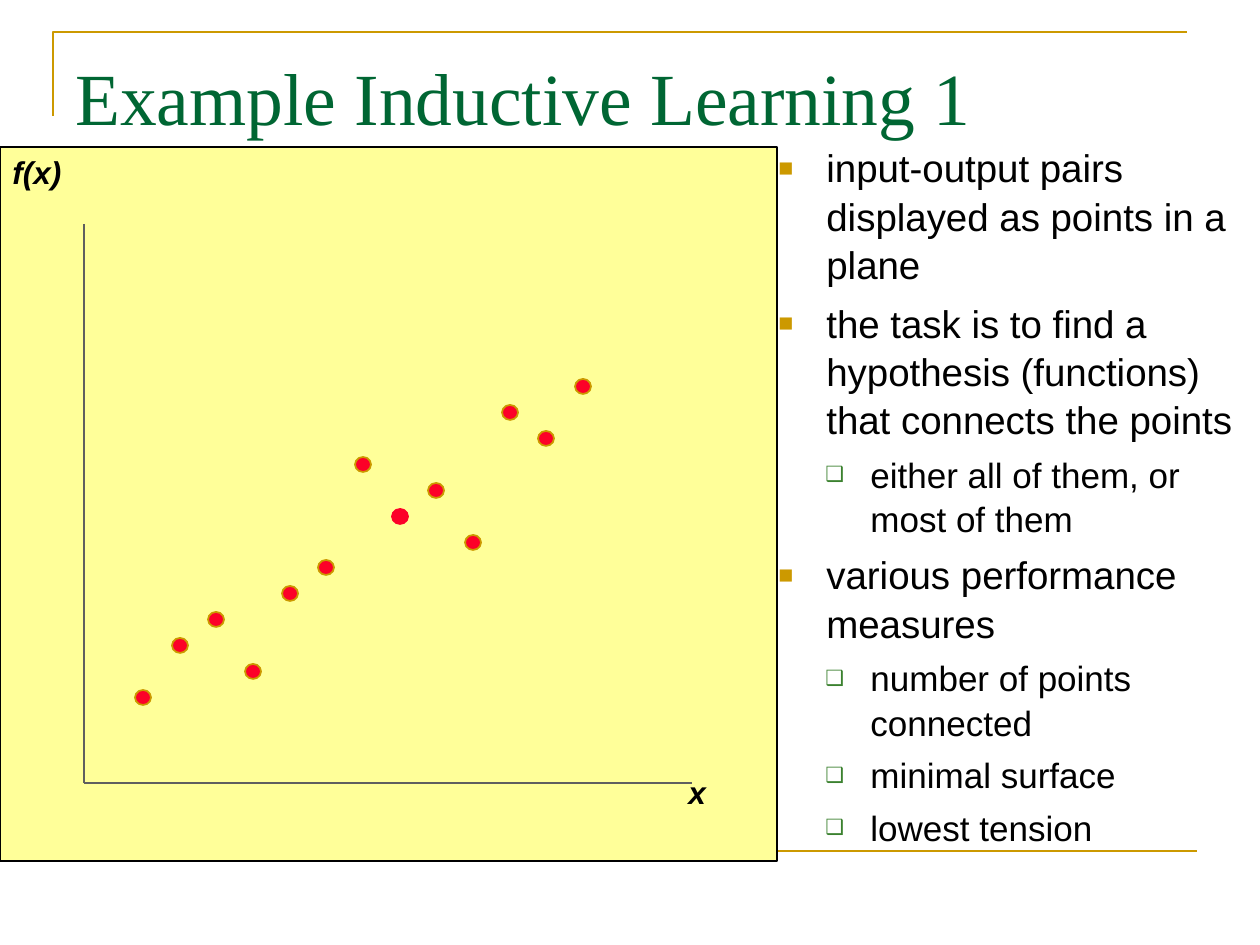
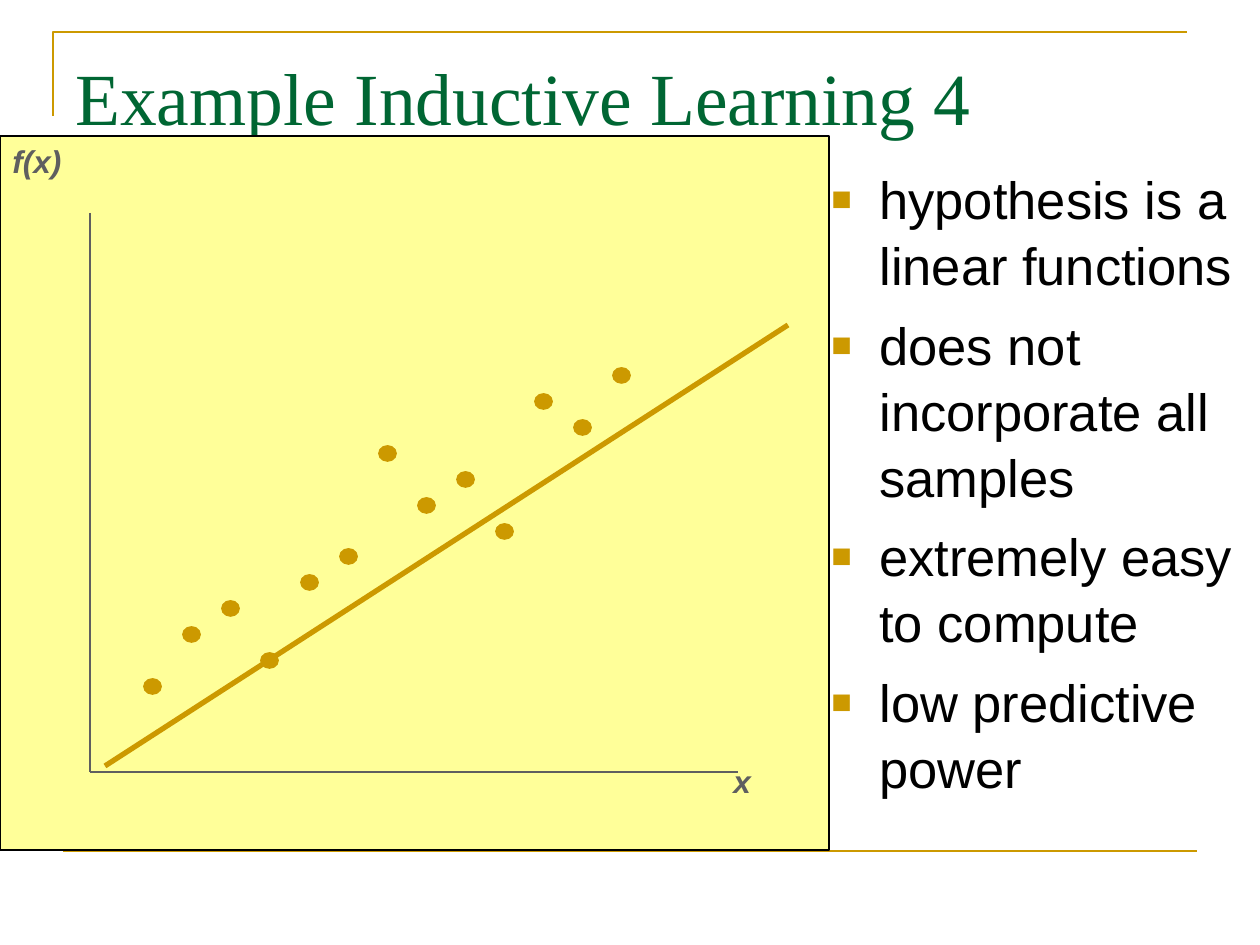
import pptx
import pptx.dml.color
import pptx.enum.shapes
import pptx.enum.text
import pptx.util
from lxml import etree

PX = 914400 / 126  # EMU in one px
COLORS = {
    "gold": "CC9900", "title": "006633", "paper": "FFFF99", "black": "000000",
    "grey": "5F5F5F", "red": "FC0128", "green": "3B812F",
}
# Per level: bullet, bullet colour, bullet size in percent, left margin and hanging indent in px
LEVELS = [("■", "gold", 65, 48, 48), ("❑", "green", 60, 92, 45)]

# Plot geometry, drawn up for a frame of this width and stretched to others
FRAME_WIDTH, FRAME_HEIGHT = 777, 714
SAMPLE_ROWS = [0, 2, 3, 1, 4, 5, 9, 7, 8, 6, 11, 10, 12]


def emu(length):
    return pptx.util.Emu(round(length * PX))


def rgb(name):
    return pptx.dml.color.RGBColor.from_string(COLORS[name])


class SlideWriter:
    """Holds the shared style and the slide being filled."""

    def __init__(self, deck):
        self.deck = deck
        self.page = None

    def new_page(self, title):
        self.page = self.deck.slides.add_slide(self.deck.slide_layouts[6])
        # Gold corner and bottom rule
        builder = self.page.shapes.build_freeform(53, 116, scale=PX)
        builder.add_line_segments([(53, 32), (1187, 32)], close=False)
        corner = builder.convert_to_shape()
        corner.fill.background()
        corner.shadow.inherit = False
        self.outline(corner, "gold", 1.5)
        self.line(63, 851, 1197, 851, "gold", 1.5)
        # Title
        box = self.text_box(63, 38, 1134, 157)
        box.margin_top = emu(14)
        para = box.paragraphs[0]
        para.text = title
        self.set_font(para, "Times New Roman", 42, "title")

    def outline(self, shape, color, weight):
        shape.line.color.rgb = rgb(color)
        shape.line.width = pptx.util.Pt(weight)

    def set_font(self, para, name, size, color):
        para.font.name = name
        para.font.size = pptx.util.Pt(size)
        para.font.color.rgb = rgb(color)

    def line(self, x1, y1, x2, y2, color, weight):
        line = self.page.shapes.add_connector(
            pptx.enum.shapes.MSO_CONNECTOR.STRAIGHT, emu(x1), emu(y1), emu(x2), emu(y2))
        self.outline(line, color, weight)
        etree.SubElement(line._element.spPr, pptx.oxml.ns.qn("a:effectLst"))

    def shape(self, kind, left, top, width, height, fill, line):
        shape = self.page.shapes.add_shape(kind, emu(left), emu(top), emu(width), emu(height))
        shape.shadow.inherit = False
        shape.fill.solid()
        shape.fill.fore_color.rgb = rgb(fill)
        self.outline(shape, line, 1)

    def text_box(self, left, top, width, height, wrap=True):
        box = self.page.shapes.add_textbox(emu(left), emu(top), emu(width), emu(height))
        frame = box.text_frame
        frame.word_wrap = wrap
        frame.vertical_anchor = pptx.enum.text.MSO_ANCHOR.TOP
        return frame

    def axis_label(self, text, left, top, width, color):
        para = self.text_box(left, top, width, 50, wrap=False).paragraphs[0]
        para.text = text
        self.set_font(para, "Arial", 18, color)
        para.font.bold = para.font.italic = True

    def bullets(self, left, top, width, height, sizes, items):
        frame = self.text_box(left, top, width, height)
        for index, (level, text) in enumerate(items):
            para = frame.add_paragraph() if index else frame.paragraphs[0]
            para.text = text
            para.level = level
            para.line_spacing = 1.05
            para.space_before = pptx.util.Pt(sizes[level] / 4)
            self.bullet_mark(para, *LEVELS[level])
            self.set_font(para, "Arial", sizes[level], "black")

    def bullet_mark(self, para, mark, color, percent, margin, hanging):
        qn = pptx.oxml.ns.qn
        properties = para._p.get_or_add_pPr()
        properties.set("marL", str(emu(margin)))
        properties.set("indent", str(-emu(hanging)))
        tint = etree.SubElement(properties, qn("a:buClr"))
        etree.SubElement(tint, qn("a:srgbClr"), val=COLORS[color])
        etree.SubElement(properties, qn("a:buSzPct"), val=str(percent * 1000))
        etree.SubElement(properties, qn("a:buFont"), typeface="Arial")
        etree.SubElement(properties, qn("a:buChar"), char=mark)

    def plot(self, top, width, label_color, dot_color, plain_columns=()):
        """Yellow frame with axes and samples; plain columns have no gold rim."""
        kinds = pptx.enum.shapes.MSO_SHAPE

        def across(x):
            return round(x * width / FRAME_WIDTH)

        self.shape(kinds.RECTANGLE, 0, top, width, FRAME_HEIGHT, "paper", "black")
        # Axes and their labels
        axis_left, axis_bottom = across(84), top + 636
        self.line(axis_left, top + 77, axis_left, axis_bottom, "grey", 1)
        self.line(axis_left, axis_bottom, across(692), axis_bottom, "grey", 1)
        self.axis_label("x", across(676), top + 620, 43, label_color)
        self.axis_label("f(x)", 0, top, 74, label_color)
        # Samples, one per column
        dot_width, dot_height = across(16), 15
        for column, row in enumerate(SAMPLE_ROWS):
            left = across(135 + 440 * column / 12)
            dot_top = top + round(543 - 311 * row / 12)
            rim = dot_color if column in plain_columns else "gold"
            self.shape(kinds.OVAL, left, dot_top, dot_width, dot_height, dot_color, rim)


def main():
    deck = pptx.Presentation()
    deck.slide_width, deck.slide_height = emu(1260), emu(945)
    writer = SlideWriter(deck)

    # Slide 1: the samples and the task
    writer.new_page("Example Inductive Learning 1")
    writer.plot(147, 777, "black", "red", plain_columns=(7,))
    writer.bullets(766, 136, 494, 714, (22, 20), [
        (0, "input-output pairs displayed as points in a plane"),
        (0, "the task is to find a hypothesis (functions) that connects the points"),
        (1, "either all of them, or most of them"),
        (0, "various performance measures"),
        (1, "number of points connected"),
        (1, "minimal surface"),
        (1, "lowest tension"),
    ])

    # Slide 2: a linear hypothesis
    writer.new_page("Example Inductive Learning 4")
    writer.plot(136, 829, "grey", "gold")
    writer.bullets(819, 158, 441, 687, (30,), [
        (0, "hypothesis is a linear functions"),
        (0, "does not incorporate all samples"),
        (0, "extremely easy to compute"),
        (0, "low predictive power"),
    ])
    writer.line(105, 766, 788, 325, "gold", 3)

    deck.save("out.pptx")


if __name__ == "__main__":
    main()
